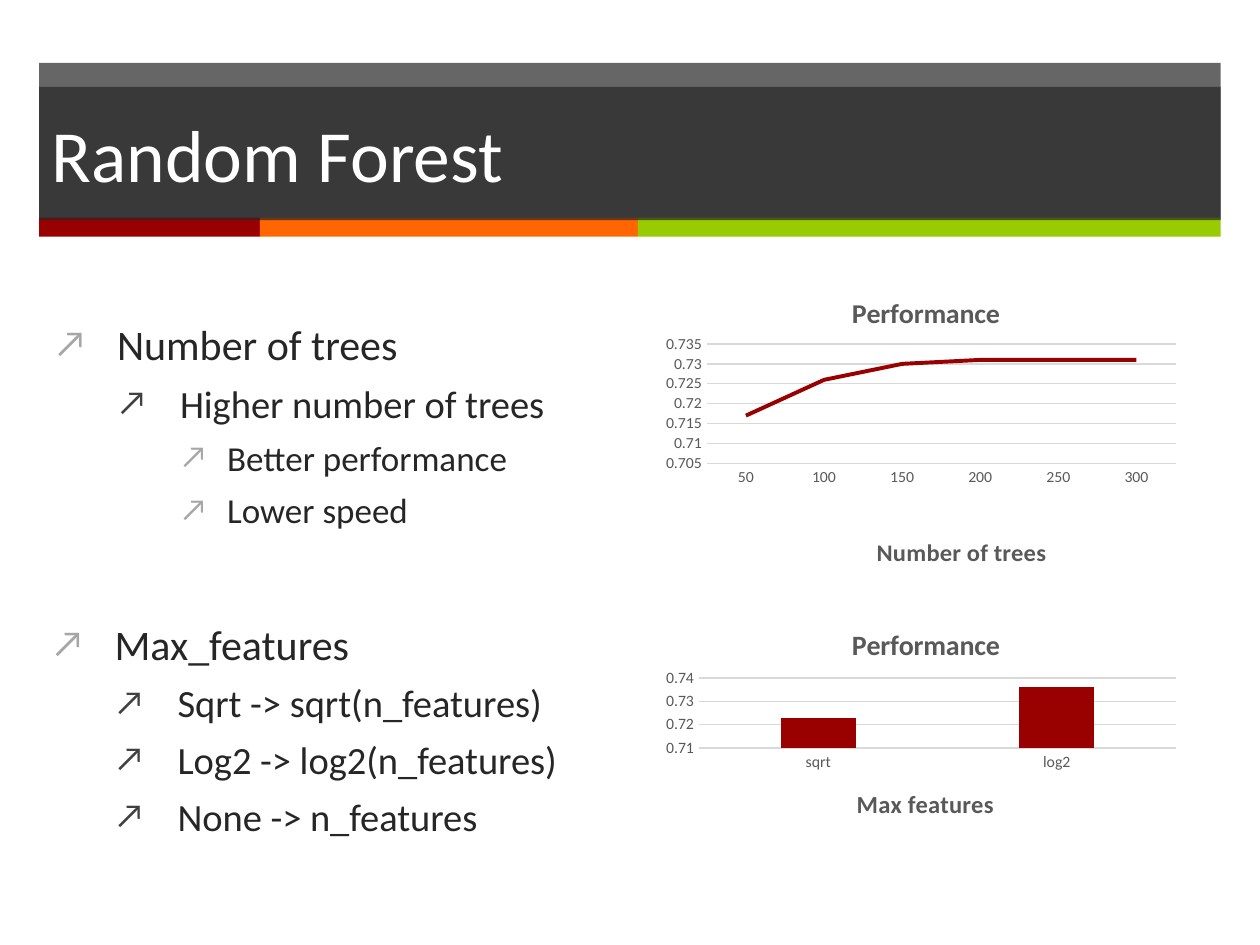
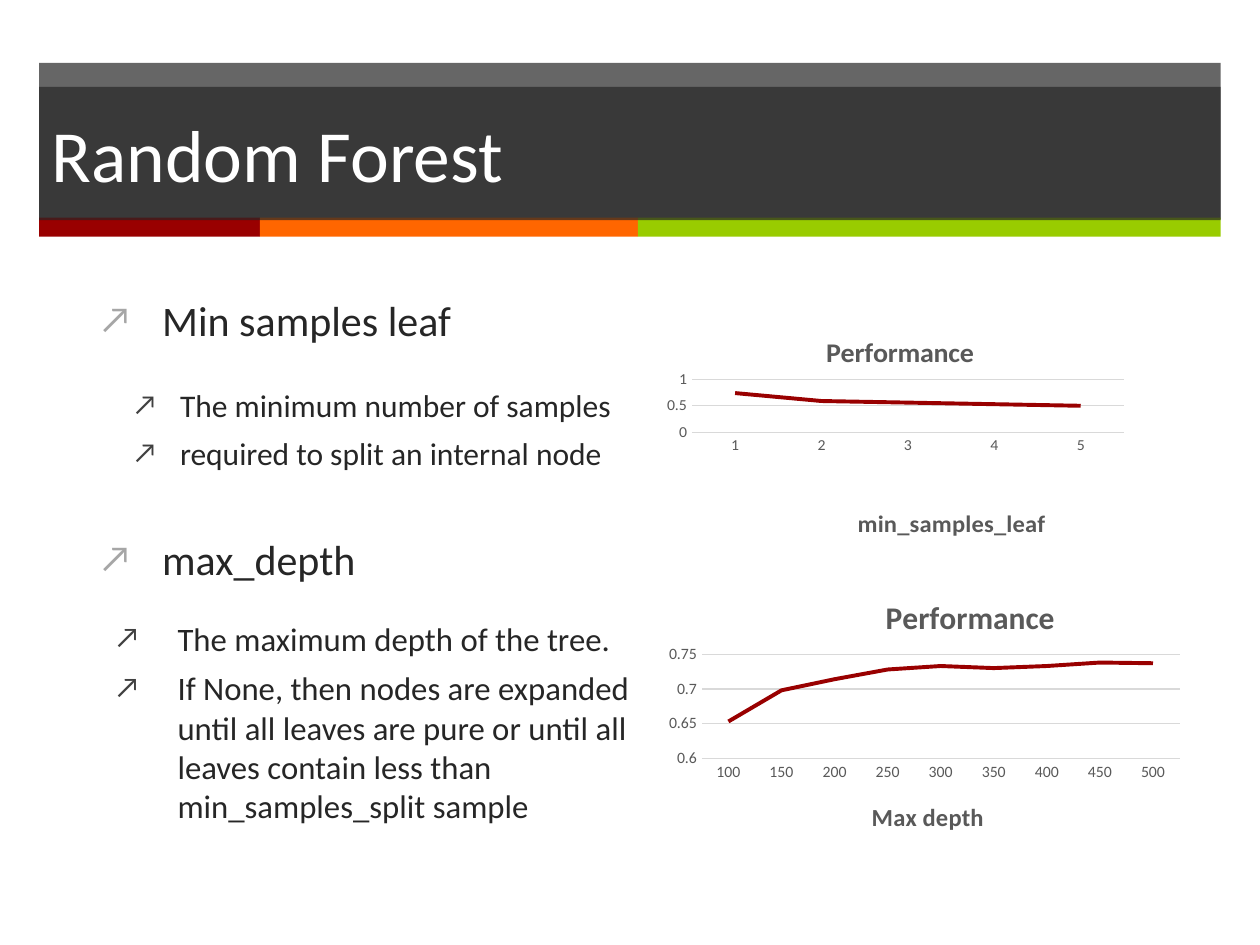
from dataclasses import dataclass
from typing import NamedTuple

from lxml.etree import SubElement
from pptx import Presentation
from pptx.chart.data import CategoryChartData
from pptx.dml.color import RGBColor
from pptx.enum.chart import XL_CHART_TYPE, XL_TICK_MARK
from pptx.enum.shapes import MSO_SHAPE
from pptx.enum.text import MSO_ANCHOR, PP_ALIGN
from pptx.oxml.ns import qn
from pptx.util import Cm, Pt

FONT = "Calibri"
DARK, WHITE, RED = "262626", "FFFFFF", "990000"
GREY, RULE = "595959", "D9D9D9"
PALE, DEEP = "A6A6A6", "404040"
LEFT, WIDE = 0.79, 23.82
BANDS = ((4.45, RED), (7.62, "FF6600"), (11.75, "99CC00"))
LINE, BAR = XL_CHART_TYPE.LINE, XL_CHART_TYPE.COLUMN_CLUSTERED


class Box(NamedTuple):
    x: float
    y: float
    w: float
    h: float


class Spot(NamedTuple):
    x: float
    y: float


class Level(NamedTuple):
    depth: int
    left: float
    hang: float
    size: float
    gap: float
    mark: str


HEAD = Level(0, 1.27, 1.27, 24, 20, PALE)
SUB = Level(1, 2.54, 1.27, 22, 6, DEEP)
LEAF = Level(2, 3.49, 0.95, 20, 6, PALE)
NOTE = Level(3, 4.45, 0.95, 18, 6, DEEP)
SMALL = SUB._replace(size=18.7)


@dataclass
class Block:
    box: Box
    lines: list[tuple[Level, str]]


@dataclass
class Graph:
    kind: XL_CHART_TYPE
    box: Box
    plot: Box
    head: Spot
    foot: Spot
    label: str
    scale: tuple[float, float, float]
    data: dict[str, float]
    size: int = 16


@dataclass
class Page:
    blocks: list[Block]
    graphs: list[Graph]


PAGES = [
    Page(
        [
            Block(Box(0.79, 12.34, 12.42, 4.39), [
                (HEAD, "Max_features"),
                (SUB, "Sqrt -> sqrt(n_features)"),
                (SUB, "Log2 -> log2(n_features)"),
                (SUB, "None -> n_features"),
            ]),
            Block(Box(0.84, 6.3, 12.42, 4.39), [
                (HEAD, "Number of trees"),
                (SUB, "Higher number of trees"),
                (LEAF, "Better performance"),
                (LEAF, "Lower speed"),
            ]),
        ],
        [
            Graph(LINE, Box(13.21, 5.49, 10.69, 6.1), Box(14.25, 6.98, 9.45, 2.48),
                  Spot(17.07, 5.85), Spot(17.58, 10.87), "Number of trees",
                  (0.705, 0.735, 0.005),
                  {"50": 0.717, "100": 0.726, "150": 0.73,
                   "200": 0.731, "250": 0.731, "300": 0.731}),
            Graph(BAR, Box(13.21, 12.12, 10.69, 4.8), Box(14.09, 13.67, 9.62, 1.41),
                  Spot(17.07, 12.52), Spot(17.18, 15.78), "Max features",
                  (0.71, 0.74, 0.01), {"sqrt": 0.723, "log2": 0.736}),
        ],
    ),
    Page(
        [
            Block(Box(1.75, 5.82, 8.41, 1.37), [(HEAD, "Min samples leaf")]),
            Block(Box(1.75, 10.64, 8.28, 1.57), [(HEAD, "max_depth")]),
            Block(Box(-1.07, 7.65, 14.07, 3.35), [
                (NOTE, "The minimum number of samples"),
                (NOTE, "required to split an internal node"),
            ]),
            Block(Box(0.79, 12.34, 12.47, 4.11), [
                (SMALL, "The maximum depth of the tree."),
                (SMALL, "If None, then nodes are expanded until all leaves are pure "
                        "or until all leaves contain less than min_samples_split sample"),
            ]),
        ],
        [
            Graph(LINE, Box(13.26, 6.35, 9.58, 4.65), Box(13.95, 7.7, 8.71, 1.11),
                  Spot(16.55, 6.65), Spot(17.2, 10.28), "min_samples_leaf",
                  (0, 1, 0.5),
                  {"1": 0.74, "2": 0.59, "3": 0.56, "4": 0.53, "5": 0.5}),
            Graph(LINE, Box(13.26, 11.51, 10.72, 5.69), Box(14.15, 13.19, 9.63, 2.1),
                  Spot(17.74, 11.89), Spot(17.48, 16.03), "Max depth",
                  (0.6, 0.75, 0.05),
                  {"100": 0.653, "150": 0.698, "200": 0.714, "250": 0.728, "300": 0.733,
                   "350": 0.73, "400": 0.733, "450": 0.738, "500": 0.737}, 18),
        ],
    ),
]


def color(code: str) -> RGBColor:
    return RGBColor.from_string(code)


def add_run(para, text: str, size: float, code: str, bold: bool = False) -> None:
    run = para.add_run()
    run.text = text
    set_font(run.font, size, code, bold)


def set_font(font, size: float, code: str, bold: bool = False) -> None:
    font.name, font.size, font.bold = FONT, Pt(size), bold
    font.color.rgb = color(code)


def add_rect(slide, box: Box, code: str, alpha: int = 100):
    rect = slide.shapes.add_shape(MSO_SHAPE.RECTANGLE, *map(Cm, box))
    rect.shadow.inherit = False
    rect.line.fill.background()
    rect.fill.solid()
    rect.fill.fore_color.rgb = color(code)
    if alpha < 100:
        tint = rect.fill._xPr.find(".//" + qn("a:srgbClr"))
        SubElement(tint, qn("a:alpha"), val=str(alpha * 1000))
    return rect


def add_frame(slide, title: str) -> None:
    add_rect(slide, Box(LEFT, 1.27, WIDE, 3.15), DARK, 70)
    left = LEFT
    for width, code in BANDS:
        add_rect(slide, Box(left, 4.39, width, 0.38), code)
        left += width
    frame = add_rect(slide, Box(LEFT, 1.75, WIDE, 2.69), DARK, 70).text_frame
    frame.vertical_anchor = MSO_ANCHOR.MIDDLE
    para = frame.paragraphs[0]
    para.alignment = PP_ALIGN.LEFT
    add_run(para, title, 42, WHITE)


def add_block(slide, block: Block) -> None:
    frame = slide.shapes.add_textbox(*map(Cm, block.box)).text_frame
    frame.word_wrap = True
    for rank, (level, text) in enumerate(block.lines):
        para = frame.add_paragraph() if rank else frame.paragraphs[0]
        para.level = level.depth
        para.space_before = Pt(level.gap)
        add_run(para, text, level.size, DARK)
        props = para._p.get_or_add_pPr()
        props.set("marL", str(Cm(level.left)))
        props.set("indent", str(-Cm(level.hang)))
        tint = SubElement(props, qn("a:buClr"))
        SubElement(tint, qn("a:srgbClr"), val=level.mark)
        SubElement(props, qn("a:buSzPct"), val="90000")
        SubElement(props, qn("a:buFont"), typeface=FONT)
        SubElement(props, qn("a:buChar"), char="↗")


def place(host, rank: int, box: Box, spot: Spot | Box) -> None:
    for old in host.findall(qn("c:layout")):
        host.remove(old)
    outer = SubElement(host, qn("c:layout"))
    host.insert(rank, outer)
    inner = SubElement(outer, qn("c:manualLayout"))
    parts = {"xMode": "edge", "yMode": "edge",
             "x": (spot.x - box.x) / box.w, "y": (spot.y - box.y) / box.h}
    if isinstance(spot, Box):
        parts = {"layoutTarget": "inner"} | parts
        parts |= {"w": spot.w / box.w, "h": spot.h / box.h}
    for tag, val in parts.items():
        SubElement(inner, qn("c:" + tag), val=str(val))


def add_title(title, text: str, size: int, box: Box, spot: Spot) -> None:
    add_run(title.text_frame.paragraphs[0], text, size, GREY, True)
    place(title.element, 1, box, spot)


def set_line(line, code: str, width: float) -> None:
    line.color.rgb = color(code)
    line.width = Pt(width)


def add_graph(slide, graph: Graph) -> None:
    data = CategoryChartData()
    data.categories = list(graph.data)
    data.add_series("Series 1", list(graph.data.values()))
    chart = slide.shapes.add_chart(graph.kind, *map(Cm, graph.box), data).chart
    set_font(chart.font, 10, "000000")
    chart.has_legend = False
    add_title(chart.chart_title, "Performance", graph.size, graph.box, graph.head)
    cats, vals = chart.category_axis, chart.value_axis
    add_title(cats.axis_title, graph.label, 14, graph.box, graph.foot)
    for axis in (cats, vals):
        axis.major_tick_mark = axis.minor_tick_mark = XL_TICK_MARK.NONE
        set_font(axis.tick_labels.font, 9, GREY)
    set_line(cats.format.line, RULE, 0.75)
    vals.format.line.fill.background()
    set_line(vals.major_gridlines.format.line, RULE, 0.75)
    vals.minimum_scale, vals.maximum_scale, vals.major_unit = graph.scale
    place(chart.element.find(".//" + qn("c:plotArea")), 0, graph.box, graph.plot)
    plot = chart.plots[0]
    plot.vary_by_categories = False
    row = plot.series[0]
    if graph.kind == BAR:
        plot.gap_width, plot.overlap = 219, -27
        row.format.fill.solid()
        row.format.fill.fore_color.rgb = color(RED)
    else:
        row.smooth = False
        set_line(row.format.line, RED, 2.25)


def main() -> None:
    deck = Presentation()
    deck.slide_width, deck.slide_height = Cm(25.4), Cm(19.05)
    for page in PAGES:
        slide = deck.slides.add_slide(deck.slide_layouts[6])
        add_frame(slide, "Random Forest")
        for graph in page.graphs:
            add_graph(slide, graph)
        for block in page.blocks:
            add_block(slide, block)
    deck.save("out.pptx")


if __name__ == "__main__":
    main()
